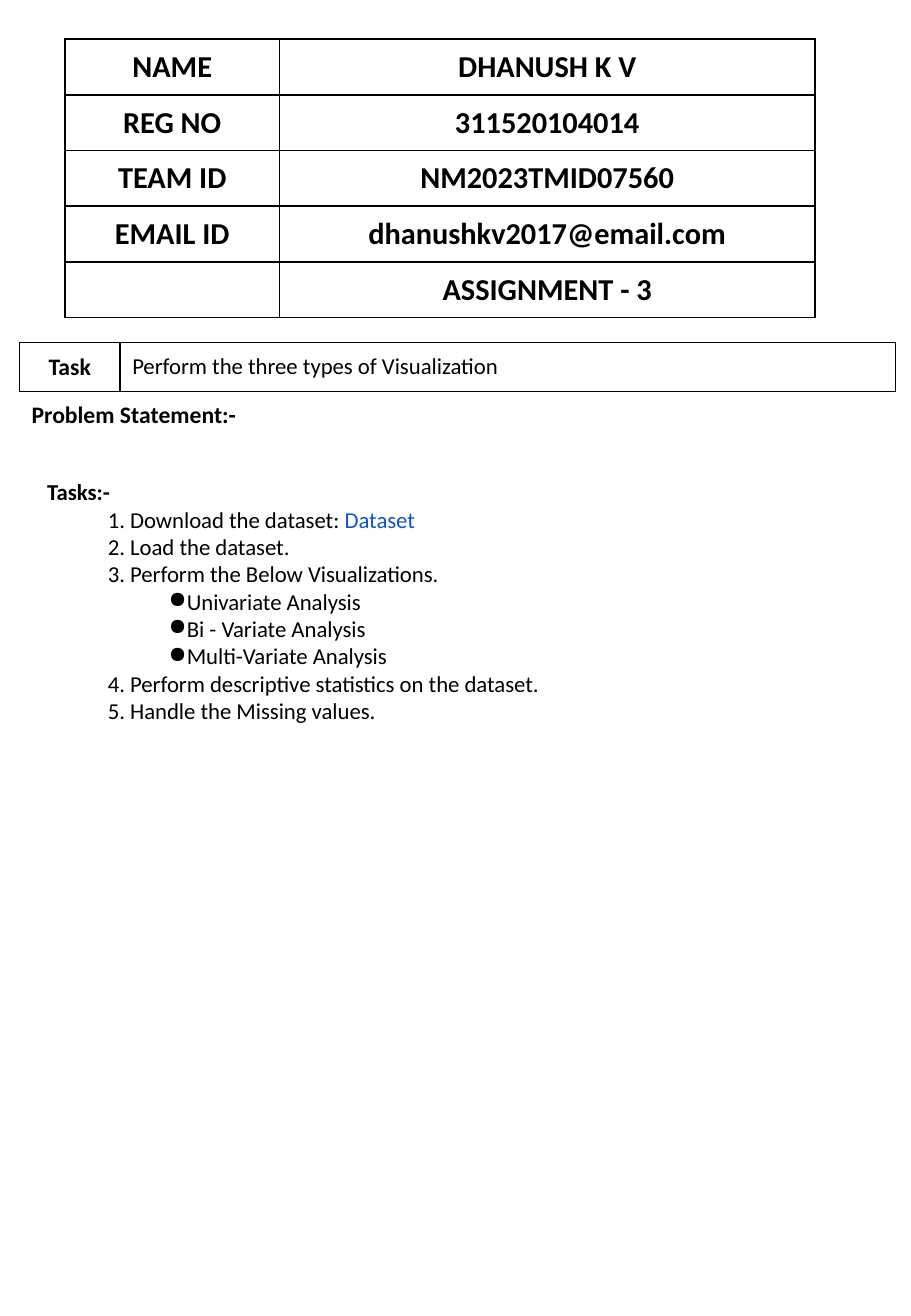
import pptx
import pptx.util
import pptx.dml.color
import pptx.enum.text
import pptx.oxml
import pptx.oxml.ns

Pt = pptx.util.Pt
ALIGN = pptx.enum.text.PP_ALIGN
MIDDLE = pptx.enum.text.MSO_ANCHOR.MIDDLE
SPACE = pptx.oxml.ns.nsdecls("a")


def color(code):
    return pptx.dml.color.RGBColor.from_string(code)


class Page:
    font, ink, blue = "Calibri", "000000", "1155CD"

    def __init__(self, slide):
        self.slide = slide

    def style(self, para, size, bold=False, align=ALIGN.LEFT):
        para.alignment = align
        for run in para.runs:
            run.font.name, run.font.size, run.font.bold = self.font, Pt(size), bold
            run.font.color.rgb = color(self.ink)

    def table(self, left, top, widths, heights):
        shape = self.slide.shapes.add_table(
            len(heights), len(widths), Pt(left), Pt(top), Pt(sum(widths)), Pt(sum(heights)))
        table = shape.table
        table.first_row = table.horz_banding = False
        for col, width in zip(table.columns, widths):
            col.width = Pt(width)
        for row, height in zip(table.rows, heights):
            row.height = Pt(height)
        return table

    def cell(self, cell, text, size, bold=True, align=ALIGN.CENTER, sides="LRTB"):
        cell.text_frame.text = text
        cell.vertical_anchor = MIDDLE
        self.style(cell.text_frame.paragraphs[0], size, bold, align)
        cell.fill.background()
        self.border(cell, sides)

    def border(self, cell, sides):
        props = cell._tc.get_or_add_tcPr()
        solid = f'<a:solidFill><a:srgbClr val="{self.ink}"/></a:solidFill>'
        for spot, side in enumerate("LRTB"):
            fill = solid if side in sides else "<a:noFill/>"
            props.insert(spot, pptx.oxml.parse_xml(
                f'<a:ln{side} {SPACE} w="{Pt(1)}">{fill}</a:ln{side}>'))

    def text(self, left, top, width, height):
        box = self.slide.shapes.add_textbox(Pt(left), Pt(top), Pt(width), Pt(height))
        box.text_frame.word_wrap = True
        return box.text_frame

    def mark(self, para, tag, left, hang):
        props = para._p.get_or_add_pPr()
        props.set("marL", str(Pt(left)))
        props.set("indent", str(-Pt(hang)))
        props.append(pptx.oxml.parse_xml(f"<a:{tag} {SPACE}/>"))


deck = pptx.Presentation()
deck.slide_width, deck.slide_height = Pt(540), Pt(780)
page = Page(deck.slides.add_slide(deck.slide_layouts[6]))

# Student details
details = [
    ("NAME", "DHANUSH K V"),
    ("REG NO", "311520104014"),
    ("TEAM ID", "NM2023TMID07560"),
    ("EMAIL ID", "dhanushkv2017@email.com"),
    ("", "ASSIGNMENT - 3"),
]
table = page.table(38.6, 23.2, [127, 317.6], [33] * len(details))
for row, pair in zip(table.rows, details):
    for cell, text in zip(row.cells, pair):
        page.cell(cell, text, 18)

# Task and problem statement
table = page.table(11.5, 203, [59.7, 459.5], [29, 29])
page.cell(table.cell(0, 0), "Task", 14)
page.cell(table.cell(0, 1), "Perform the three types of Visualization", 13.5,
          False, ALIGN.JUSTIFY)
table.cell(1, 0).merge(table.cell(1, 1))
page.cell(table.cell(1, 0), "Problem Statement:-", 14, align=ALIGN.LEFT, sides="T")
page.border(table.cell(1, 1), "T")

# Task list: each step with its sub-steps
steps = [
    ("Download the dataset: ", []),
    ("Load the dataset.", []),
    ("Perform the Below Visualizations.",
     ["Univariate Analysis", "Bi - Variate Analysis", "Multi-Variate Analysis"]),
    ("Perform descriptive statistics on the dataset.", []),
    ("Handle the Missing values.", []),
]
frame = page.text(20.9, 279.8, 510, 155)
frame.text = "Tasks:-"
page.style(frame.paragraphs[0], 13.5, True)
for count, (step, parts) in enumerate(steps, 1):
    para = frame.add_paragraph()
    para.text = step
    if count == 1:
        para.add_run().text = "Dataset"
    page.style(para, 13.5)
    if count == 1:
        para.runs[1].font.color.rgb = color(page.blue)
    page.mark(para, f'buAutoNum type="arabicPeriod" startAt="{count}"', 49.2, 13.2)
    for part in parts:
        para = frame.add_paragraph()
        para.text = part
        page.style(para, 13.5)
        page.mark(para, 'buChar char="●"', 82.8, 10.8)
for para in frame.paragraphs:
    para.line_spacing = Pt(16.2)

deck.save("out.pptx")
